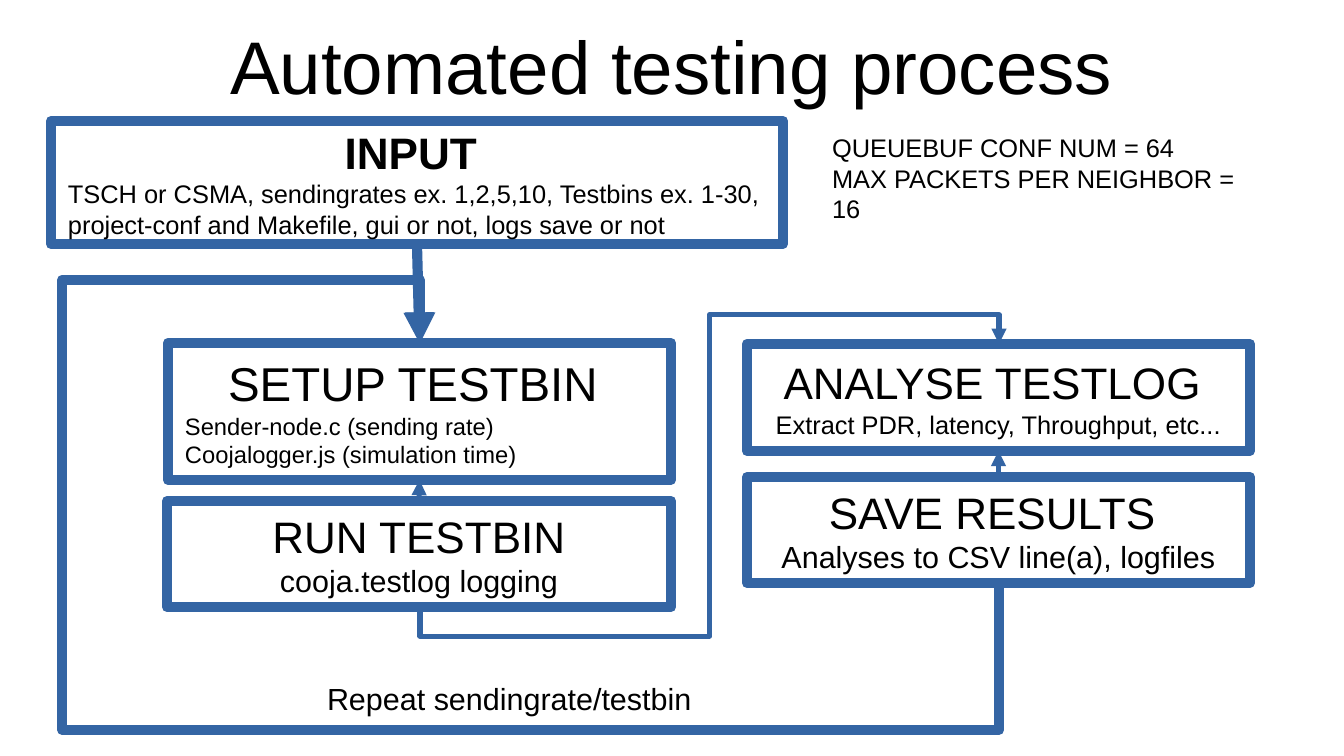
from lxml.etree import SubElement
from pptx import Presentation
from pptx.dml.color import RGBColor
from pptx.enum.shapes import MSO_CONNECTOR, MSO_SHAPE
from pptx.enum.text import MSO_ANCHOR, PP_ALIGN
from pptx.oxml.ns import qn
from pptx.util import Emu, Pt

PX = 914400 // 122
BLUE = RGBColor(0x34, 0x65, 0xA4)
WHITE = RGBColor(0xFF, 0xFF, 0xFF)
BLACK = RGBColor(0, 0, 0)
LEFT, CENTER = PP_ALIGN.LEFT, PP_ALIGN.CENTER
TOP, BOTTOM = 0, 2  # connection sites of a rectangle


def write(frame, lines):
    """Fill a text frame with (text, size, bold, alignment) lines."""
    for number, (text, size, bold, alignment) in enumerate(lines):
        paragraph = frame.add_paragraph() if number else frame.paragraphs[0]
        paragraph.alignment = alignment
        run = paragraph.add_run()
        run.text = text
        run.font.name = "Arial"
        run.font.size = Pt(size)
        run.font.bold = bold
        run.font.color.rgb = BLACK


def style_arrow(connector, width):
    """Give a connector its blue line, arrowhead and no shadow."""
    connector.line.color.rgb = BLUE
    connector.line.width = Pt(width)
    line = connector.line._get_or_add_ln()
    SubElement(line, qn("a:tailEnd"), type="triangle")
    SubElement(connector._element.spPr, qn("a:effectLst"))


presentation = Presentation()
presentation.slide_width = Emu(1344 * PX)
presentation.slide_height = Emu(756 * PX)
slide = presentation.slides.add_slide(presentation.slide_layouts[6])

# Title and free text: left, top, width, height, wrap, inset, lines
texts = [
    (67, 1, 1210, 127, True, 0,
     [("Automated testing process", 44, False, CENTER)]),
    (315, 675, 389, 46, False, 12,
     [("Repeat sendingrate/testbin", 18, False, LEFT)]),
    (820, 144, 462, 68, False, 12,
     [("QUEUEBUF CONF NUM = 64", 15, False, LEFT),
      ("MAX PACKETS PER NEIGHBOR = 16", 15, False, LEFT)]),
]
for left, top, width, height, wrap, inset, lines in texts:
    box = slide.shapes.add_textbox(left * PX, top * PX, width * PX, height * PX)
    frame = box.text_frame
    frame.word_wrap = wrap
    frame.vertical_anchor = MSO_ANCHOR.MIDDLE
    frame.margin_left = frame.margin_right = inset * PX
    frame.margin_top = frame.margin_bottom = inset // 2 * PX
    write(frame, lines)

# Process steps: left, top, width, height, lines
steps = {
    "input": (51, 121, 732, 123, [
        ("INPUT ", 26, True, CENTER),
        ("TSCH or CSMA, sendingrates ex. 1,2,5,10, Testbins ex. 1-30, "
         "project-conf and Makefile, gui or not, logs save or not",
         15, False, LEFT)]),
    "setup": (168, 343, 503, 137, [
        ("SETUP TESTBIN ", 28, False, CENTER),
        ("Sender-node.c (sending rate)", 14, False, LEFT),
        ("Coojalogger.js (simulation time)", 14, False, LEFT)]),
    "run": (167, 501, 504, 106, [
        ("RUN TESTBIN", 26, False, CENTER),
        ("cooja.testlog logging", 18, False, CENTER)]),
    "analyse": (747, 344, 503, 107, [
        ("ANALYSE TESTLOG ", 26, False, CENTER),
        ("Extract PDR, latency, Throughput, etc...", 15, False, CENTER)]),
    "save": (747, 477, 503, 106, [
        ("SAVE RESULTS ", 26, False, CENTER),
        ("Analyses to CSV line(a), logfiles", 18, False, CENTER)]),
}
boxes = {}
for name, (left, top, width, height, lines) in steps.items():
    shape = slide.shapes.add_shape(
        MSO_SHAPE.RECTANGLE, left * PX, top * PX, width * PX, height * PX)
    shape.shadow.inherit = False
    shape.fill.solid()
    shape.fill.fore_color.rgb = WHITE
    shape.line.color.rgb = BLUE
    shape.line.width = Pt(6)
    frame = shape.text_frame
    frame.word_wrap = True
    frame.vertical_anchor = MSO_ANCHOR.MIDDLE
    frame.margin_left = frame.margin_right = 17 * PX
    frame.margin_top = frame.margin_bottom = 11 * PX
    write(frame, lines)
    boxes[name] = shape

# Straight arrows between neighbouring steps
straight_arrows = [
    ("input", BOTTOM, "setup", TOP, 6),
    ("run", TOP, "setup", BOTTOM, 3),
    ("save", TOP, "analyse", BOTTOM, 3),
]
for source, source_site, target, target_site, width in straight_arrows:
    connector = slide.shapes.add_connector(MSO_CONNECTOR.STRAIGHT, 0, 0, 0, 0)
    connector.begin_connect(boxes[source], source_site)
    connector.end_connect(boxes[target], target_site)
    style_arrow(connector, width)

# Five-part elbows: start, end, turn in degrees, flips, bends, line width
elbow_arrows = [
    ((999, 583), (420, 343), 270, ["flipV"], [-61200, 161800, 126300], 6),
    ((420, 607), (999, 344), 90, ["flipH", "flipV"], [-11100, 50000, 111100], 3),
]
for (x1, y1), (x2, y2), turn, flips, bends, line_width in elbow_arrows:
    # The unturned frame shares its centre with the turned one
    width, height = abs(y2 - y1) * PX, abs(x2 - x1) * PX
    left = (x1 + x2) * PX // 2 - width // 2
    top = (y1 + y2) * PX // 2 - height // 2
    connector = slide.shapes.add_connector(
        MSO_CONNECTOR.ELBOW, left, top, left + width, top + height)
    properties = connector._element.spPr
    frame = properties.find(qn("a:xfrm"))
    frame.set("rot", str(turn * 60000))
    for flip in flips:
        frame.set(flip, "1")
    geometry = properties.find(qn("a:prstGeom"))
    geometry.set("prst", "bentConnector5")
    guides = geometry.find(qn("a:avLst"))
    for number, bend in enumerate(bends, 1):
        SubElement(guides, qn("a:gd"), name=f"adj{number}", fmla=f"val {bend}")
    style_arrow(connector, line_width)

presentation.save("out.pptx")
